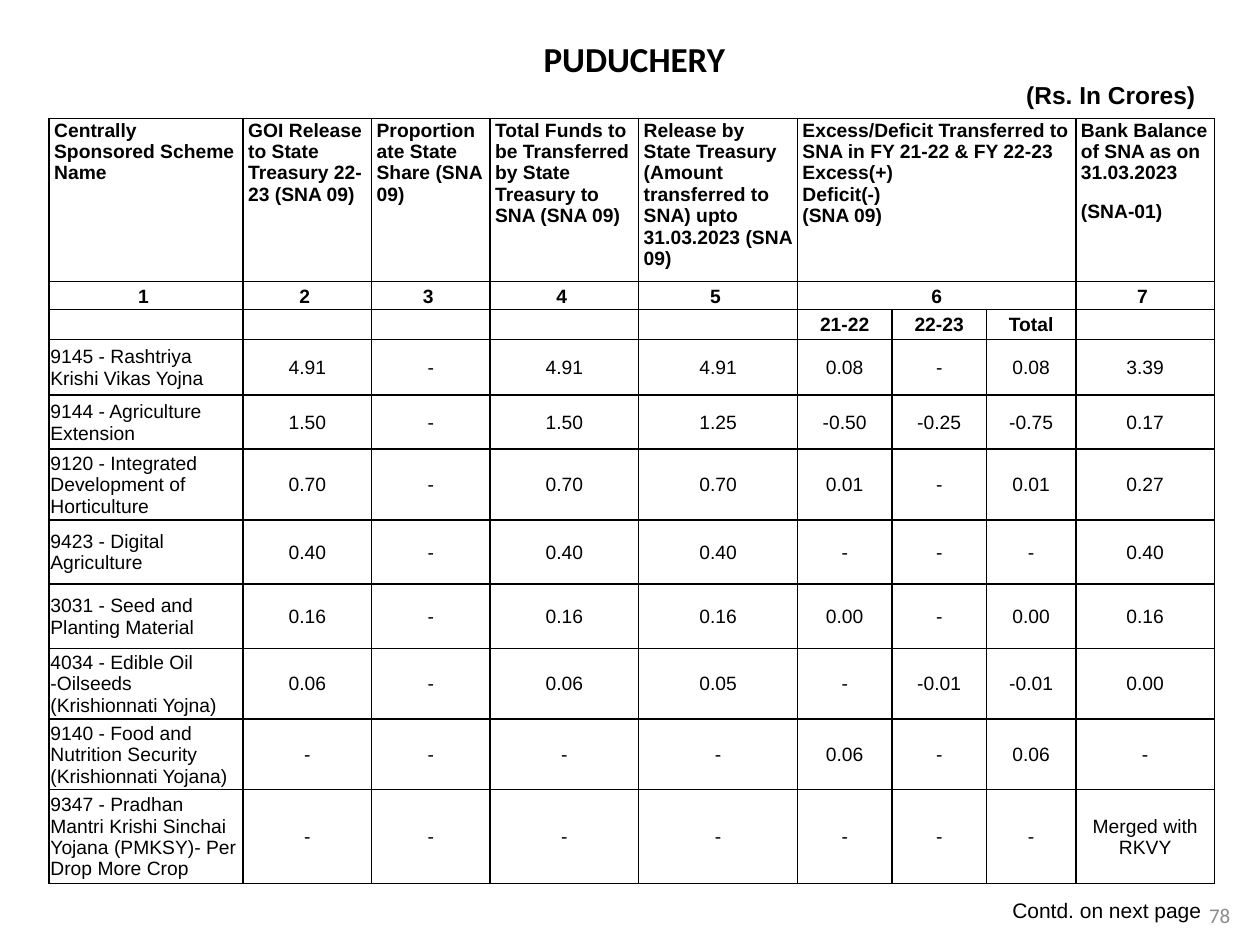
"""Builds the Puducherry scheme fund table slide."""
import pptx
import pptx.dml.color
import pptx.enum.text
import pptx.oxml
import pptx.oxml.ns
import pptx.util

Inches, Pt = pptx.util.Inches, pptx.util.Pt
Align = pptx.enum.text.PP_ALIGN
Anchor = pptx.enum.text.MSO_ANCHOR
NS = pptx.oxml.ns.nsdecls("a")

COLS = [1.54, 1.02, 0.94, 1.18, 1.26, 0.75, 0.75, 0.71, 1.1]
ROWS = [1.29, 0.22, 0.24, 0.44, 0.43, 0.56, 0.51, 0.51, 0.56, 0.56, 0.74]
HEADS = [
    "Centrally Sponsored Scheme Name",
    "GOI Release to State Treasury 22-23 (SNA 09)",
    "Proportionate State Share (SNA 09)",
    "Total Funds to be Transferred by State Treasury to SNA (SNA 09)",
    "Release by State Treasury (Amount transferred to SNA) upto 31.03.2023 (SNA 09)",
    "Excess/Deficit Transferred to SNA in FY 21-22 & FY 22-23\nExcess(+)\nDeficit(-)\n(SNA 09)",
    "", "",
    "Bank Balance of SNA as on 31.03.2023\n(SNA-01)",
]
MARKS = ["1 ", "2 ", "3 ", "4 ", "5 ", "6", "", "", "7 "]
YEARS = ["", "", "", "", "", "21-22", "22-23", "Total", ""]
DATA = [
    ["9145 - Rashtriya Krishi Vikas Yojna", "4.91", "-", "4.91", "4.91", "0.08", "-", "0.08", "3.39"],
    ["9144 - Agriculture Extension", "1.50", "-", "1.50", "1.25", "-0.50", "-0.25", "-0.75", "0.17"],
    ["9120 - Integrated Development of Horticulture", "0.70", "-", "0.70", "0.70", "0.01", "-", "0.01", "0.27"],
    ["9423 - Digital Agriculture", "0.40", "-", "0.40", "0.40", "-", "-", "-", "0.40"],
    ["3031 - Seed and Planting Material", "0.16", "-", "0.16", "0.16", "0.00", "-", "0.00", "0.16"],
    ["4034 - Edible Oil -Oilseeds (Krishionnati Yojna)", "0.06", "-", "0.06", "0.05", "-", "-0.01", "-0.01", "0.00"],
    ["9140 - Food and Nutrition Security (Krishionnati Yojana)", "-", "-", "-", "-", "0.06", "-", "0.06", "-"],
    ["9347 - Pradhan Mantri Krishi Sinchai Yojana (PMKSY)- Per Drop More Crop"] + ["-"] * 7 + ["Merged with RKVY"],
]


def tint(code):
    return pptx.dml.color.RGBColor.from_string(code)


def apply(item, form):
    for name, value in form.items():
        setattr(item, name, value)


class Deck:
    def __init__(self, show):
        self.slide = show.slides.add_slide(show.slide_layouts[6])
        self.ink = "000000"
        self.face = "Arial"

    def line(self, para, text, form, size, bold=False, face=None, ink=None):
        apply(para, form)
        if text:
            run = para.add_run()
            run.text = text
            apply(run.font, {"size": Pt(size), "bold": bold, "name": face or self.face})
            run.font.color.rgb = tint(ink or self.ink)
        else:
            para._p.append(pptx.oxml.parse_xml(f'<a:endParaRPr {NS} sz="{size * 100}"/>'))

    def text(self, area, lines, **frame):
        box = self.slide.shapes.add_textbox(*map(Inches, area)).text_frame
        apply(box, {"word_wrap": True, **frame})
        for i, line in enumerate(lines):
            para = box.add_paragraph() if i else box.paragraphs[0]
            self.line(para, **line)

    def cell(self, cell, text, form, bold, frame):
        apply(cell, frame)
        for i, part in enumerate(text.split("\n")):
            para = cell.text_frame.add_paragraph() if i else cell.text_frame.paragraphs[0]
            self.line(para, part, form, 11, bold)
        props = cell._tc.get_or_add_tcPr()
        for side in "LRTB":
            props.append(pptx.oxml.parse_xml(
                f'<a:ln{side} {NS} w="12700"><a:solidFill><a:srgbClr val="{self.ink}"/>'
                f'</a:solidFill></a:ln{side}>'))
        cell.fill.background()

    def table(self, area, rows):
        grid = self.slide.shapes.add_table(len(ROWS), len(COLS), *map(Inches, area)).table
        apply(grid, {"first_row": False, "horz_banding": False})
        for col, width in zip(grid.columns, COLS):
            col.width = Inches(width)
        for row, height in zip(grid.rows, ROWS):
            row.height = Inches(height)
        for r in (0, 1):
            grid.cell(r, 5).merge(grid.cell(r, 7))
        for r, row in enumerate(rows):
            side = Inches(0.04 if r < 2 else 0.01)
            frame = {"margin_left": side, "margin_right": side,
                     "margin_top": Inches(0.01), "margin_bottom": 0,
                     "vertical_anchor": Anchor.TOP if r < 2 else Anchor.MIDDLE}
            for c, text in enumerate(row):
                left = r == 0 or (r > 2 and c == 0)
                form = {"alignment": Align.LEFT if left else Align.CENTER}
                if r < 2 and (r, c) != (0, 5):
                    form["space_after"] = Pt(10)
                if r == 1:
                    form["line_spacing"] = 1.15
                self.cell(grid.cell(r, c), text, form, r < 3, frame)


def main():
    show = pptx.Presentation()
    apply(show, {"slide_width": Inches(10), "slide_height": Inches(7.5)})
    deck = Deck(show)
    mid = {"alignment": Align.CENTER}
    deck.text((0.43, 0.25, 9.21, 0.67), [
        dict(text="PUDUCHERY", form=mid, size=20, bold=True, face="Calibri"),
        dict(text="(Rs. In Crores) ", form={"alignment": Align.RIGHT}, size=14, bold=True),
    ])
    deck.table((0.39, 0.94, sum(COLS), sum(ROWS)), [HEADS, MARKS, YEARS, *DATA])
    deck.text((9.48, 7.06, 0.4, 0.4),
              [dict(text="78", form=mid, size=12, face="Calibri", ink="8C8C8C")],
              vertical_anchor=Anchor.MIDDLE)
    deck.text((7.93, 7.07, 1.71, 0.3),
              [dict(text="Contd. on next page", form=mid, size=12)],
              vertical_anchor=Anchor.MIDDLE, word_wrap=False)
    show.save("out.pptx")


if __name__ == "__main__":
    main()
